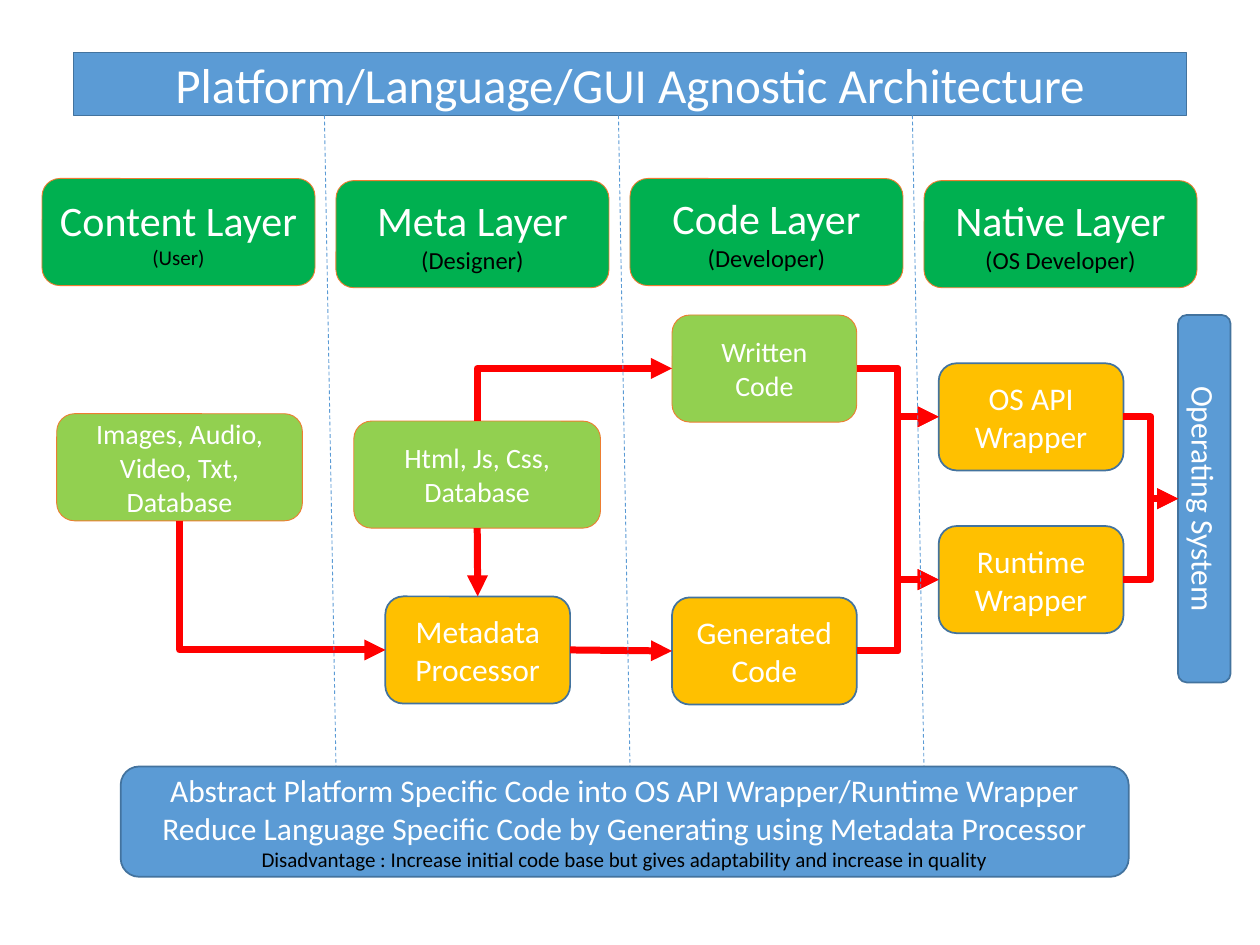
from pptx import Presentation
from pptx.dml.color import RGBColor
from pptx.enum.dml import MSO_LINE_DASH_STYLE as Dash
from pptx.enum.shapes import MSO_CONNECTOR as Link, MSO_SHAPE as Shape
from pptx.enum.text import MSO_ANCHOR as Anchor, MSO_AUTO_SIZE as AutoSize, PP_ALIGN as Align
from pptx.oxml.ns import qn
from pptx.util import Inches, Pt
from lxml.etree import SubElement

WIDTH, HEIGHT = Inches(10), Inches(7.5)
COLUMNS, ROWS = 120, 90
LAYER_STEP, BOX_ROWS = 28, 10.2
TOP, LEFT, BOTTOM, RIGHT = range(4)
WHITE, BLACK, RED, BLUE = "FFFFFF", "000000", "FF0000", "5B9BD5"
BANNER = {"fill": BLUE, "line": "43739E", "weight": 1}
LAYER = {"fill": "00B050", "line": "ED7D31", "weight": 0.5}
INPUT = {**LAYER, "fill": "92D050"}
PROCESS = {**BANNER, "fill": "FFC000"}


def colour(code):
    return RGBColor.from_string(code)


def across(columns):
    return round(WIDTH * columns / COLUMNS)


def down(rows):
    return round(HEIGHT * rows / ROWS)


def apply(target, values):
    for name, value in values.items():
        setattr(target, name, value)


def place(box, left, top, width, height):
    apply(box, {"left": across(left), "top": down(top),
                "width": across(width), "height": down(height)})


def paint(box, style):
    box.fill.solid()
    box.fill.fore_color.rgb = colour(style["fill"])
    box.line.color.rgb = colour(style["line"])
    box.line.width = Pt(style["weight"])


def write(box, paras):
    frame = box.text_frame
    apply(frame, {"word_wrap": True, "auto_size": AutoSize.NONE,
                  "vertical_anchor": Anchor.MIDDLE})
    for index, (text, size, code) in enumerate(paras):
        para = frame.add_paragraph() if index else frame.paragraphs[0]
        para.alignment = Align.CENTER
        span = para.add_run()
        span.text = text
        apply(span.font, {"name": "Calibri", "size": Pt(size)})
        span.font.color.rgb = colour(code)


def add_title(page, spot, text):
    title = page.shapes.title
    place(title, *spot)
    outline = SubElement(title.element.spPr, qn("a:prstGeom"), prst="roundRect")
    SubElement(outline, qn("a:avLst"))
    paint(title, BANNER)
    write(title, [(text, 28, WHITE)])


def add_box(page, spot, style, *paras):
    box = page.shapes.add_shape(Shape.ROUNDED_RECTANGLE, 0, 0, 0, 0)
    box.shadow.inherit = False
    place(box, *spot)
    paint(box, style)
    write(box, paras)
    return box


def style_line(line, code, weight, dash=None, arrow=False):
    line.line.color.rgb = colour(code)
    apply(line.line, {"width": Pt(weight), "dash_style": dash})
    properties = line.element.spPr
    if arrow:
        SubElement(properties.find(qn("a:ln")), qn("a:tailEnd"), type="triangle")
    SubElement(properties, qn("a:effectLst"))


def turn_corner(line):
    run, rise = line.end_x - line.begin_x, line.end_y - line.begin_y
    middle_x, middle_y = line.begin_x + run // 2, line.begin_y + rise // 2
    half_width, half_height = abs(rise) // 2, run // 2
    side = 1 if rise < 0 else -1
    apply(line, {"begin_x": middle_x + half_width, "end_x": middle_x - half_width,
                 "begin_y": middle_y + side * half_height,
                 "end_y": middle_y - side * half_height})
    properties = line.element.spPr
    properties.find(qn("a:xfrm")).set("rot", str((90 if rise < 0 else 270) * 60000))
    properties.find(qn("a:prstGeom")).set("prst", "bentConnector2")


def add_arrow(page, kind, source, exit_side, target, entry_side):
    line = page.shapes.add_connector(kind, 0, 0, 0, 0)
    line.begin_connect(source, exit_side)
    line.end_connect(target, entry_side)
    if kind == Link.ELBOW and exit_side in (TOP, BOTTOM):
        turn_corner(line)
    style_line(line, RED, 4, arrow=True)


def add_divider(page, index):
    shift = index * LAYER_STEP
    line = page.shapes.add_connector(
        Link.STRAIGHT, across(30.9 + shift), down(11), across(32 + shift), down(73))
    style_line(line, BLUE, 0.5, dash=Dash.DASH)


def add_layers(page):
    layers = [("Content Layer", "(User)", 12, 17), ("Meta Layer", "(Designer)", 14, 17.2),
              ("Code Layer", "(Developer)", 14, 17), ("Native Layer", "(OS Developer)", 14, 17.2)]
    for index, (name, role, size, top) in enumerate(layers):
        add_box(page, (4 + index * LAYER_STEP, top, 26, BOX_ROWS), LAYER,
                (name, 24, WHITE), (role, size, BLACK))


def add_flow(page):
    nodes = {
        "content": (5.4, 39.4, 23.4, INPUT, "Images, Audio, Video, Txt, Database", 16),
        "meta": (33.7, 40.1, 23.5, INPUT, "Html, Js, Css, Database", 16),
        "written": (64, 30, 17.6, INPUT, "Written Code", 16),
        "generated": (64, 56.9, 17.6, PROCESS, "Generated Code", 18),
        "processor": (36.7, 56.8, 17.6, PROCESS, "Metadata Processor", 18),
        "api": (89.4, 34.6, 17.6, PROCESS, "OS API Wrapper", 18),
        "runtime": (89.4, 50.1, 17.6, PROCESS, "Runtime Wrapper", 18),
    }
    boxes = {}
    for key, (left, top, width, style, text, size) in nodes.items():
        boxes[key] = add_box(page, (left, top, width, BOX_ROWS), style, (text, size, WHITE))
    boxes["system"] = add_box(page, (112.2, 30, 5, 35), BANNER, ("Operating System", 18, WHITE))
    boxes["system"].text_frame._txBody.bodyPr.set("vert", "vert")

    arrows = [
        (Link.ELBOW, "meta", TOP, "written", LEFT),
        (Link.STRAIGHT, "processor", RIGHT, "generated", LEFT),
        (Link.STRAIGHT, "meta", BOTTOM, "processor", TOP),
        (Link.ELBOW, "content", BOTTOM, "processor", LEFT),
    ]
    arrows += [(Link.ELBOW, code, RIGHT, wrapper, LEFT)
               for code in ("written", "generated") for wrapper in ("api", "runtime")]
    arrows += [(Link.ELBOW, wrapper, RIGHT, "system", LEFT) for wrapper in ("api", "runtime")]
    for kind, source, exit_side, target, entry_side in arrows:
        add_arrow(page, kind, boxes[source], exit_side, boxes[target], entry_side)


def main():
    deck = Presentation()
    apply(deck, {"slide_width": WIDTH, "slide_height": HEIGHT})
    page = deck.slides.add_slide(deck.slide_layouts[5])
    add_title(page, (7, 5, 106, 6), "Platform/Language/GUI Agnostic Architecture")
    add_layers(page)
    add_flow(page)
    for index in range(3):
        add_divider(page, index)
    add_box(page, (11.5, 73, 96, 10.5), BANNER,
            ("Abstract Platform Specific Code into OS API Wrapper/Runtime Wrapper", 18, WHITE),
            ("Reduce Language Specific Code by Generating using Metadata Processor", 18, WHITE),
            ("Disadvantage : Increase initial code base but gives adaptability "
             "and increase in quality", 12, BLACK))
    deck.save("out.pptx")


main()
